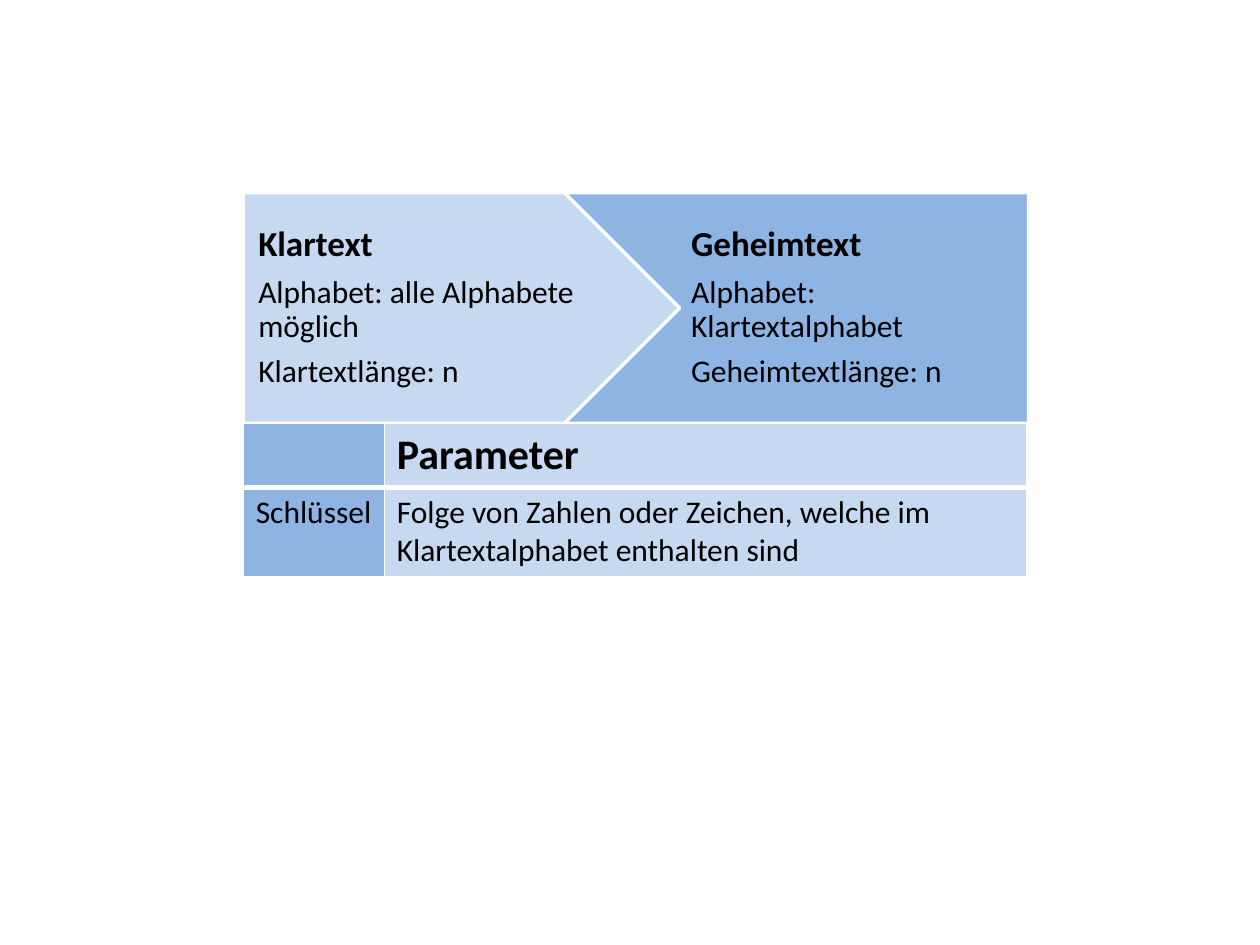
"""Build a slide comparing plaintext and ciphertext above a parameter table."""
from dataclasses import dataclass

from lxml import etree
from pptx import Presentation, util as u
from pptx.dml.color import RGBColor
from pptx.enum import shapes, text
from pptx.oxml import ns

WHITE = RGBColor(0xFF, 0xFF, 0xFF)
BLACK = RGBColor(0x00, 0x00, 0x00)
LIGHT = RGBColor(0xC6, 0xD9, 0xF1)
MEDIUM = RGBColor(0x8E, 0xB4, 0xE3)
FONT = "Calibri"
WIDTH, HEIGHT = 10, 7.5
LEFT, TOP, BAND = 1.93, 1.53, 1.83
TABLE_WIDTHS = (1.12, 5.1)
TABLE_ROWS = (0.47, 0.41)
THIN, THICK = 0.96, 3


@dataclass
class Stage:
    kind: shapes.MSO_SHAPE
    left: float
    width: float
    inset: float
    color: RGBColor
    heading: str
    details: tuple[str, ...]


@dataclass
class Entry:
    label: str
    value: str
    size: float
    bold: bool


STAGES = (
    Stage(shapes.MSO_SHAPE.PENTAGON, LEFT, 3.94, 0.12, LIGHT, "Klartext",
          ("Alphabet: alle Alphabete möglich", "Klartextlänge: n")),
    Stage(shapes.MSO_SHAPE.CHEVRON, 4.48, 4.61, 0.09, MEDIUM, "Geheimtext",
          ("Alphabet: Klartextalphabet", "Geheimtextlänge: n")),
)
ENTRIES = (
    Entry("", "Parameter", 24, True),
    Entry("Schlüssel", "Folge von Zahlen oder Zeichen, welche im "
          "Klartextalphabet enthalten sind", 18, False),
)


def write(para, words: str, *, size: float, bold: bool = False,
          spacing: float | None = None, after: float | None = None) -> None:
    para.alignment = text.PP_ALIGN.LEFT
    if spacing is not None:
        para.line_spacing = spacing
    if after is not None:
        para.space_after = u.Pt(after)
    if words:
        span = para.add_run()
        span.text = words
        span.font.name = FONT
        span.font.size = u.Pt(size)
        span.font.bold = bold
        span.font.color.rgb = BLACK


def add_box(page, kind: shapes.MSO_SHAPE, left: float, top: float,
            width: float, height: float, color: RGBColor):
    box = page.shapes.add_shape(kind, *map(u.Inches, (left, top, width, height)))
    box.shadow.inherit = False
    box.fill.solid()
    box.fill.fore_color.rgb = color
    box.line.fill.background()
    return box


def add_stage(page, stage: Stage) -> None:
    box = add_box(page, stage.kind, stage.left, TOP, stage.width, BAND, stage.color)
    box.adjustments[0] = 0.5
    box.line.color.rgb = WHITE
    box.line.width = u.Pt(2)
    frame = box.text_frame
    frame.word_wrap = True
    frame.vertical_anchor = text.MSO_ANCHOR.MIDDLE
    frame.margin_left, frame.margin_right = u.Inches(stage.inset), u.Inches(0.03)
    frame.margin_top = frame.margin_bottom = u.Inches(0.06)
    write(frame.paragraphs[0], stage.heading, size=20, bold=True,
          spacing=0.9, after=7)
    for detail in stage.details:
        write(frame.add_paragraph(), detail, size=18, spacing=0.9, after=6.3)


def set_borders(cell, **widths: float) -> None:
    properties = cell._tc.get_or_add_tcPr()
    for side, width in widths.items():
        line = etree.SubElement(properties, ns.qn(f"a:ln{side}"), w=str(u.Pt(width)))
        fill = etree.SubElement(line, ns.qn("a:solidFill"))
        etree.SubElement(fill, ns.qn("a:srgbClr"), val=str(WHITE))


def add_parameters(page, entries: tuple[Entry, ...]) -> None:
    frame = page.shapes.add_table(
        len(entries), len(TABLE_WIDTHS), u.Inches(LEFT), u.Inches(TOP + BAND),
        u.Inches(sum(TABLE_WIDTHS)), u.Inches(1.28))
    table = frame.table
    table.first_row = table.horz_banding = False
    for column, width in zip(table.columns, TABLE_WIDTHS):
        column.width = u.Inches(width)
    for index, (row, entry) in enumerate(zip(table.rows, entries)):
        row.height = u.Inches(TABLE_ROWS[index])
        top, bottom = (THIN, THICK) if index == 0 else (THICK, THIN)
        for cell, words, color in zip(row.cells, (entry.label, entry.value),
                                      (MEDIUM, LIGHT)):
            set_borders(cell, L=THIN, R=THIN, T=top, B=bottom)
            cell.fill.solid()
            cell.fill.fore_color.rgb = color
            write(cell.text_frame.paragraphs[0], words, size=entry.size,
                  bold=entry.bold)


def main() -> None:
    deck = Presentation()
    deck.slide_width, deck.slide_height = u.Inches(WIDTH), u.Inches(HEIGHT)
    page = deck.slides.add_slide(deck.slide_layouts[6])
    for stage in STAGES:
        add_stage(page, stage)
    add_box(page, shapes.MSO_SHAPE.RECTANGLE, 8.15, 1.15, 0.94, 2.44, WHITE)
    add_parameters(page, ENTRIES)
    deck.save("out.pptx")


main()
